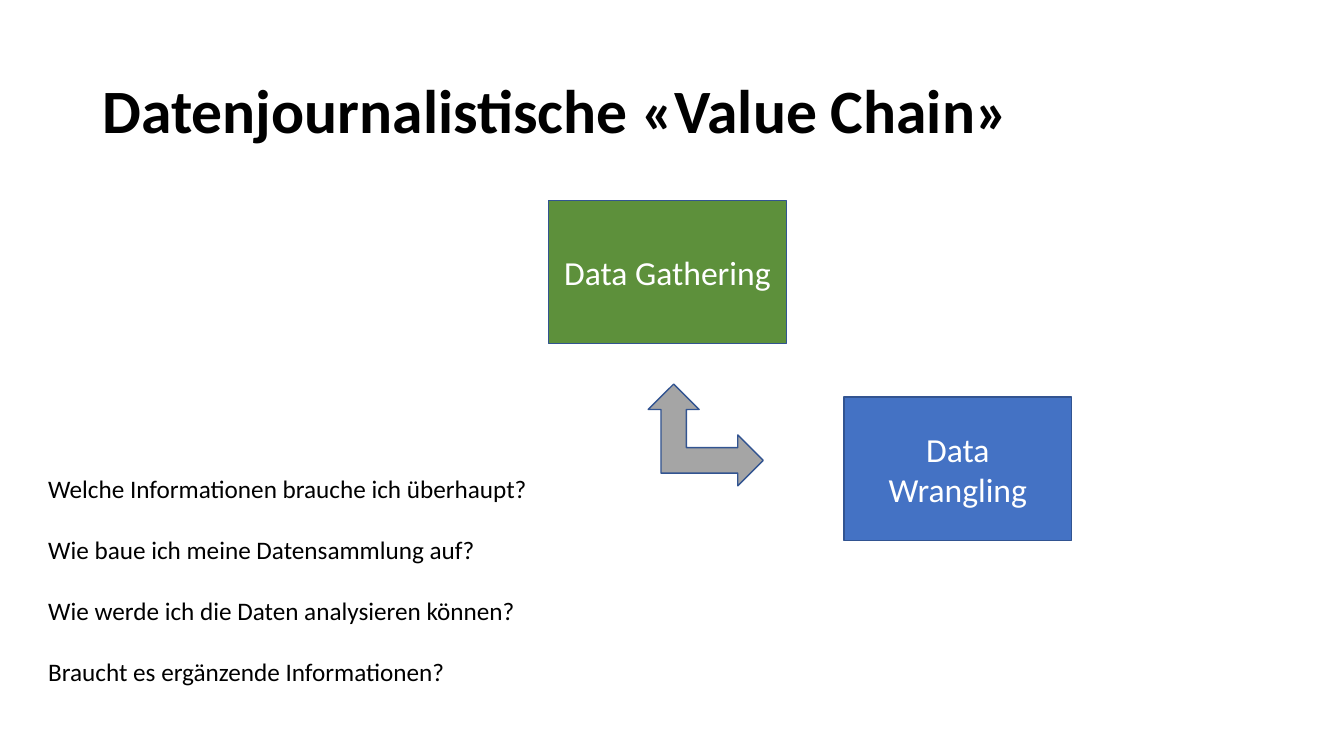
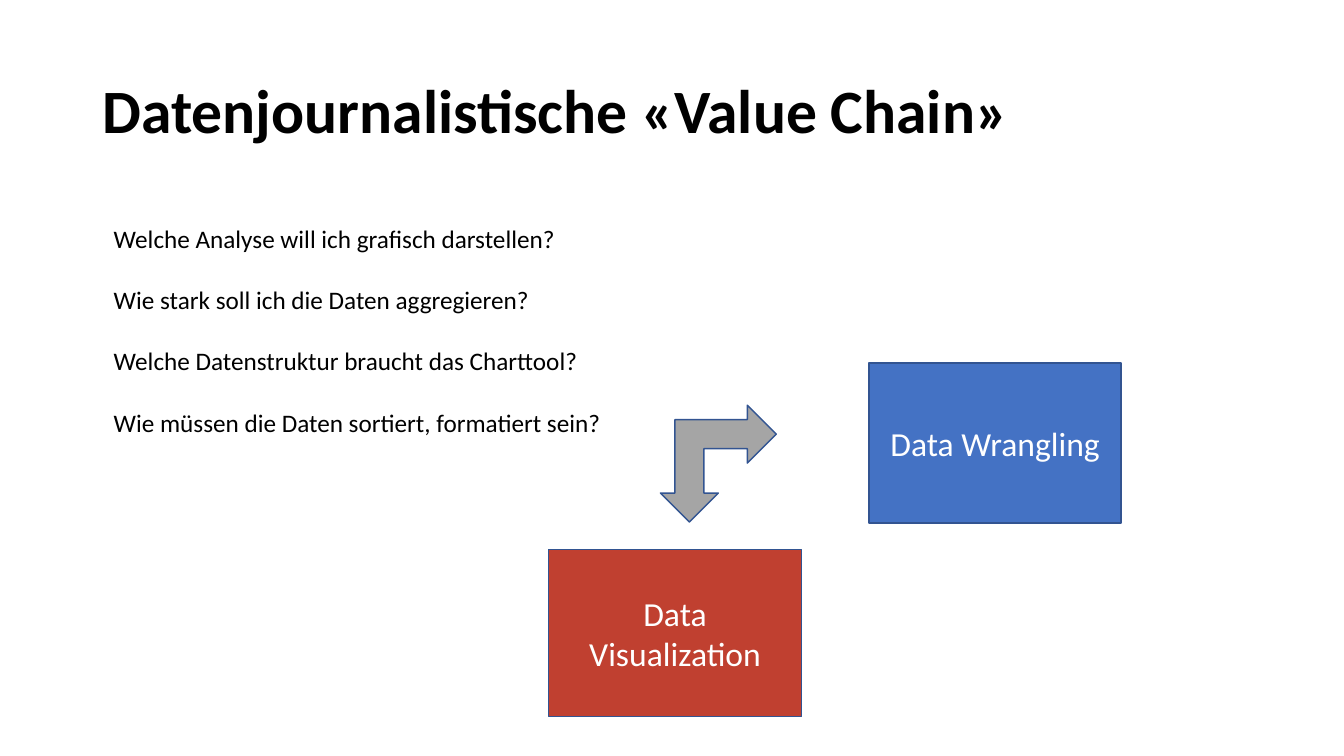
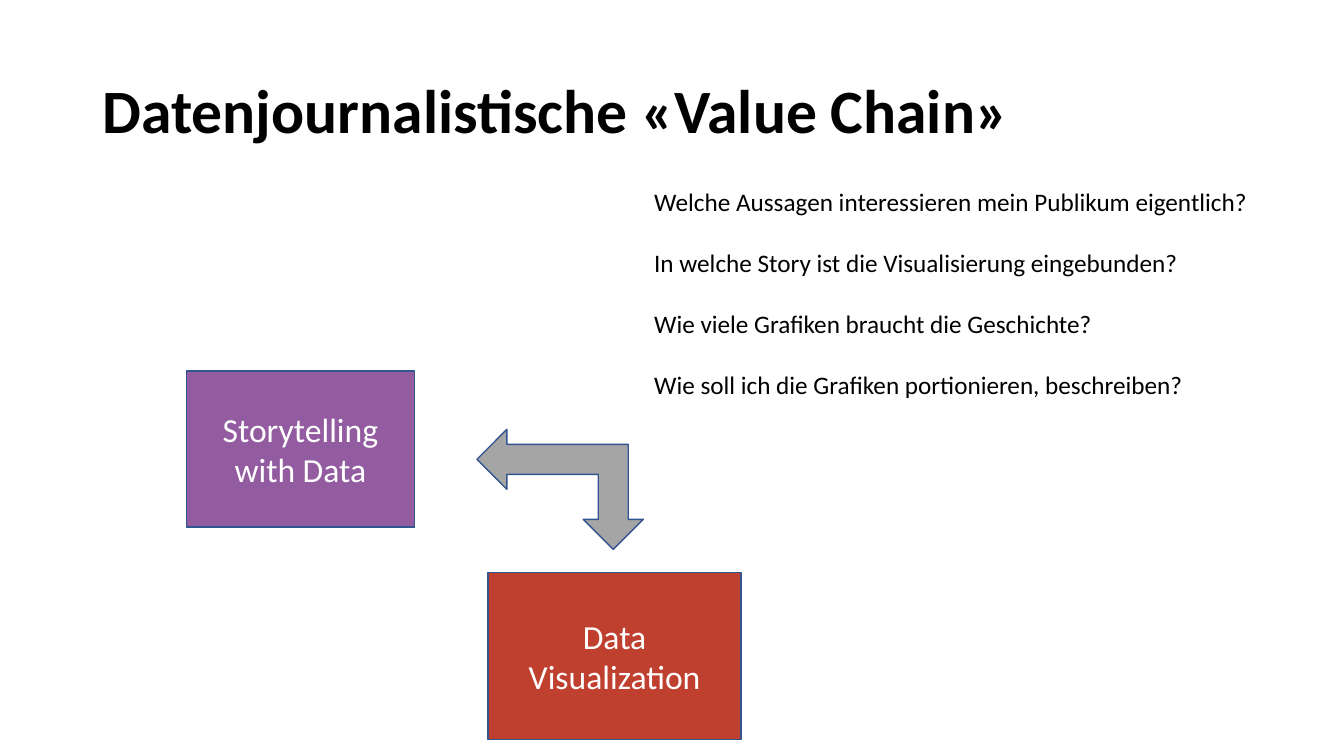
from dataclasses import dataclass

from pptx import Presentation
from pptx import util as u
from pptx.dml.color import RGBColor
from pptx.enum import shapes, text
from pptx.oxml import ns


@dataclass(frozen=True)
class Theme:
    font: str = "Calibri"
    ink: str = "000000"
    on_fill: str = "FFFFFF"
    outline: str = "325491"
    arrow: str = "A5A5A5"
    gathering: str = "5D903B"
    wrangling: str = "4472C4"
    visualization: str = "C04030"
    storytelling: str = "935CA0"
    title_size: int = 44
    stage_size: int = 24
    question_size: int = 18
    question_gap: int = 22
    line_width: int = 1


THEME = Theme()
TITLE = "Datenjournalistische «Value Chain»"


@dataclass(frozen=True)
class Area:
    """A rectangle on the slide, in inches."""
    left: float
    top: float
    width: float
    height: float

    def lengths(self) -> tuple:
        return tuple(u.Inches(value) for value in
                     (self.left, self.top, self.width, self.height))


@dataclass(frozen=True)
class Stage:
    label: str
    fill: str
    area: Area


@dataclass(frozen=True)
class Arrow:
    """A two-headed corner arrow; flips lists the mirrored axes."""
    area: Area
    flips: tuple[str, ...]


@dataclass(frozen=True)
class ChainSlide:
    stages: tuple[Stage, ...]
    arrow: Arrow
    questions: tuple[str, ...]
    questions_area: Area


SLIDES = (
    ChainSlide(
        stages=(
            Stage("Data Wrangling", THEME.wrangling, Area(8.37, 3.94, 2.26, 1.42)),
            Stage("Data Gathering", THEME.gathering, Area(5.44, 1.99, 2.36, 1.42)),
        ),
        arrow=Arrow(Area(6.43, 3.81, 1.14, 1.01), ("flipH",)),
        questions=(
            "Welche Informationen brauche ich überhaupt?",
            "Wie baue ich meine Datensammlung auf?",
            "Wie werde ich die Daten analysieren können?",
            "Braucht es ergänzende Informationen?",
        ),
        questions_area=Area(0.38, 4.65, 5.06, 2.22),
    ),
    ChainSlide(
        stages=(
            Stage("Data Wrangling", THEME.wrangling, Area(8.62, 3.6, 2.5, 1.59)),
            Stage("Data Visualization", THEME.visualization, Area(5.44, 5.45, 2.51, 1.66)),
        ),
        arrow=Arrow(Area(6.55, 4.02, 1.15, 1.16), ("flipH", "flipV")),
        questions=(
            "Welche Analyse will ich grafisch darstellen?",
            "Wie stark soll ich die Daten aggregieren?",
            "Welche Datenstruktur braucht das Charttool?",
            "Wie müssen die Daten sortiert, formatiert sein?",
        ),
        questions_area=Area(1.03, 2.17, 5.06, 2.22),
    ),
    ChainSlide(
        stages=(
            Stage("Storytelling with Data", THEME.storytelling, Area(1.85, 3.68, 2.26, 1.55)),
            Stage("Data Visualization", THEME.visualization, Area(4.84, 5.68, 2.51, 1.66)),
        ),
        arrow=Arrow(Area(4.73, 4.26, 1.65, 1.19), ("flipV",)),
        questions=(
            "Welche Aussagen interessieren mein Publikum eigentlich?",
            "In welche Story ist die Visualisierung eingebunden?",
            "Wie viele Grafiken braucht die Geschichte?",
            "Wie soll ich die Grafiken portionieren, beschreiben?",
        ),
        questions_area=Area(6.39, 1.8, 6.8, 2.22),
    ),
)


def set_all(target, values: dict) -> None:
    for name, value in values.items():
        setattr(target, name, value)


def write(shape, lines: tuple[str, ...], size: int, color: str, *,
          anchor=text.MSO_ANCHOR.TOP, bold: bool = False, gap: int = 0,
          paragraph_format: dict | None = None) -> None:
    """Fill the shape with one paragraph per line, gap points apart."""
    frame = shape.text_frame
    set_all(frame, {"word_wrap": True, "vertical_anchor": anchor})
    for index, line in enumerate(lines):
        paragraph = frame.add_paragraph() if index else frame.paragraphs[0]
        set_all(paragraph, paragraph_format or {})
        if index:
            paragraph.space_before = u.Pt(gap)
        run = paragraph.add_run()
        run.text = line
        set_all(run.font, {"name": THEME.font, "size": u.Pt(size), "bold": bold})
        run.font.color.rgb = RGBColor.from_string(color)


def add_filled(slide, kind, area: Area, fill: str):
    shape = slide.shapes.add_shape(kind, *area.lengths())
    shape.shadow.inherit = False
    shape.fill.solid()
    shape.fill.fore_color.rgb = RGBColor.from_string(fill)
    shape.line.color.rgb = RGBColor.from_string(THEME.outline)
    shape.line.width = u.Pt(THEME.line_width)
    return shape


def add_title(slide) -> None:
    box = slide.shapes.add_textbox(*Area(0.92, 0.4, 11.5, 1.45).lengths())
    write(box, (TITLE,), THEME.title_size, THEME.ink, bold=True,
          anchor=text.MSO_ANCHOR.MIDDLE, paragraph_format={"line_spacing": 0.9})


def add_stage(slide, stage: Stage) -> None:
    box = add_filled(slide, shapes.MSO_SHAPE.RECTANGLE, stage.area, stage.fill)
    write(box, (stage.label,), THEME.stage_size, THEME.on_fill,
          anchor=text.MSO_ANCHOR.MIDDLE,
          paragraph_format={"alignment": text.PP_ALIGN.CENTER})


def add_arrow(slide, arrow: Arrow) -> None:
    shape = add_filled(slide, shapes.MSO_SHAPE.LEFT_UP_ARROW, arrow.area, THEME.arrow)
    transform = shape.element.spPr.find(ns.qn("a:xfrm"))
    for flip in arrow.flips:
        transform.set(flip, "1")


def add_questions(slide, questions: tuple[str, ...], area: Area) -> None:
    box = slide.shapes.add_textbox(*area.lengths())
    write(box, questions, THEME.question_size, THEME.ink, gap=THEME.question_gap)


def add_chain_slide(presentation, content: ChainSlide) -> None:
    slide = presentation.slides.add_slide(presentation.slide_layouts[6])
    add_title(slide)
    for stage in content.stages:
        add_stage(slide, stage)
    add_arrow(slide, content.arrow)
    add_questions(slide, content.questions, content.questions_area)


def main() -> None:
    presentation = Presentation()
    set_all(presentation, {"slide_width": u.Inches(13.33), "slide_height": u.Inches(7.5)})
    for content in SLIDES:
        add_chain_slide(presentation, content)
    presentation.save("out.pptx")


if __name__ == "__main__":
    main()
